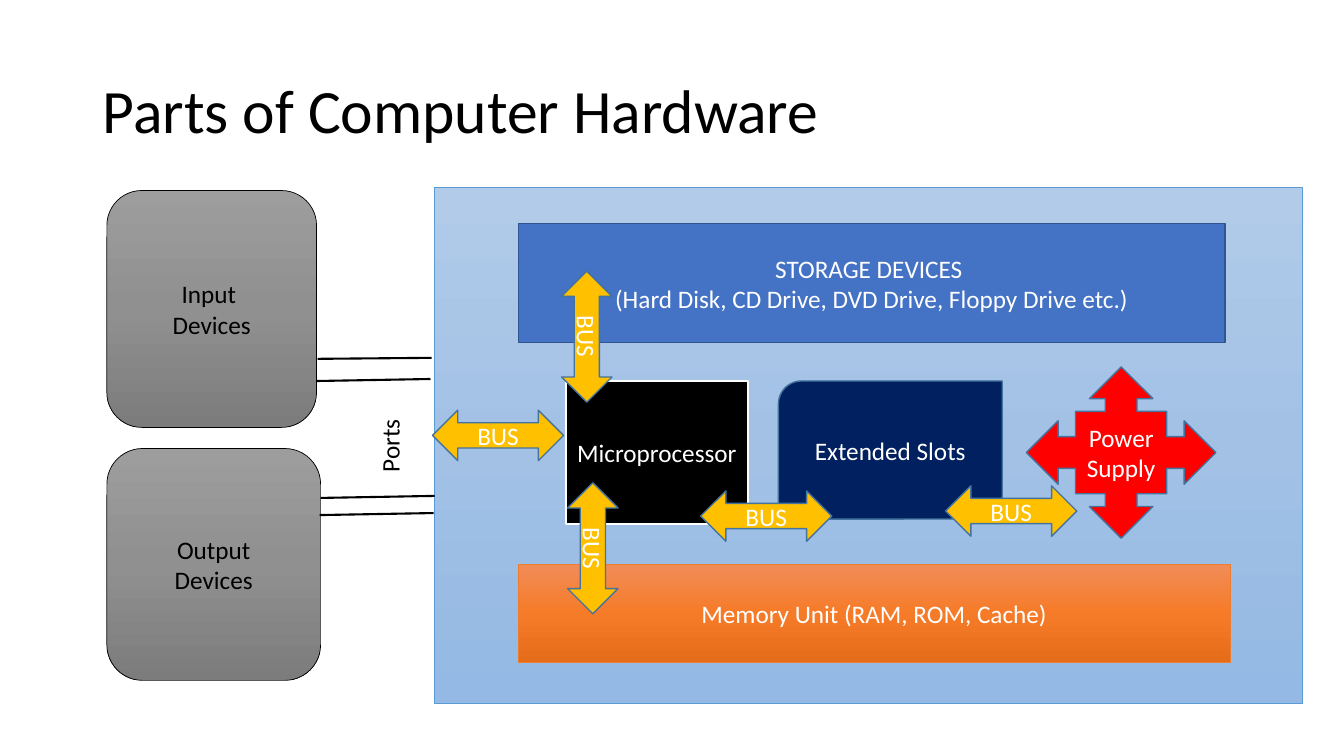
from copy import deepcopy

from lxml import etree
from pptx import Presentation
from pptx.dml.color import RGBColor
from pptx.enum.shapes import MSO_CONNECTOR, MSO_SHAPE as SHAPE
from pptx.enum.text import MSO_ANCHOR as ANCHOR, PP_ALIGN as ALIGN
from pptx.oxml.ns import qn
from pptx.util import Inches, Pt

COLORS = {
    "black": "000000", "white": "FFFFFF", "red": "FF0000",
    "navy": "002060", "gold": "FFC000", "blue": "4472C4",
    "blue_line": "325491", "steel_line": "43739E",
    "case_line": "5B9BD5", "memory_line": "ED7D31",
}
GRADIENTS = {
    "case": ("B1CBE9", "A3C1E5", "93B9E4"),
    "gray": ("9D9D9D", "909090", "7C7C7C"),
    "memory": ("F18C57", "F67B28", "E56C19"),
}


def rgb(name):
    return RGBColor.from_string(COLORS[name])


def write(sp, text, size=18, color="white", align=ALIGN.CENTER,
          anchor=ANCHOR.MIDDLE, wrap=True, spacing=None):
    """Fill a shape with text, one paragraph per line."""
    tf = sp.text_frame
    tf.word_wrap = wrap
    tf.vertical_anchor = anchor
    tf.text = text
    for p in tf.paragraphs:
        p.alignment = align
        p.line_spacing = spacing
        for r in p.runs:
            r.font.name = "Calibri"
            r.font.size = Pt(size)
            r.font.color.rgb = rgb(color)


prs = Presentation()
prs.slide_width, prs.slide_height = Inches(13.33), Inches(7.5)
s = prs.slides.add_slide(prs.slide_layouts[5])

title = s.shapes.title
title.left, title.top = Inches(0.92), Inches(0.4)
title.width, title.height = Inches(11.5), Inches(1.45)
write(title, "Parts of Computer Hardware", size=44, color="black",
      align=ALIGN.LEFT, spacing=0.9)

# Blocks: preset, box, fill, line colour, line width, text, text colour
blocks = [
    (SHAPE.RECTANGLE, (4.31, 1.86, 8.61, 5.12), "case", "case_line", 0.5,
     "", "white"),
    (SHAPE.ROUNDED_RECTANGLE, (1.06, 1.89, 2.08, 2.35), "gray", "black", 0.5,
     "Input \nDevices", "black"),
    (SHAPE.ROUNDED_RECTANGLE, (1.06, 4.45, 2.12, 2.3), "gray", "black", 0.5,
     "Output\nDevices", "black"),
    (SHAPE.RECTANGLE, (5.61, 3.78, 1.81, 1.42), "black", "white", 1.5,
     "Microprocessor", "white"),
    (SHAPE.RECTANGLE, (5.14, 5.6, 7.06, 0.97), "memory", "memory_line", 0.5,
     "Memory Unit (RAM, ROM, Cache)", "white"),
    (SHAPE.RECTANGLE, (5.14, 2.22, 7.01, 1.18), "blue", "blue_line", 1,
     "STORAGE DEVICES \n(Hard Disk, CD Drive, DVD Drive, Floppy Drive etc.)",
     "white"),
    (SHAPE.ROUND_2_DIAG_RECTANGLE, (7.72, 3.78, 2.22, 1.37), "navy",
     "steel_line", 1, "Extended Slots", "white"),
    (SHAPE.QUAD_ARROW_CALLOUT, (10.18, 3.64, 1.88, 1.7), "red",
     "steel_line", 1, "Power\nSupply", "white"),
]
for preset, box, fill, line, width, text, color in blocks:
    sp = s.shapes.add_shape(preset, *map(Inches, box))
    sp.shadow.inherit = False
    sp.line.color.rgb = rgb(line)
    sp.line.width = Pt(width)
    if fill in GRADIENTS:
        sp.fill.gradient()
        sp.fill.gradient_angle = 270
        first = sp._element.spPr.find(".//" + qn("a:gs"))
        first.addnext(deepcopy(first))
        for i, (stop, shade) in enumerate(zip(sp.fill.gradient_stops,
                                              GRADIENTS[fill])):
            stop.position = i / 2
            stop.color.rgb = RGBColor.from_string(shade)
    else:
        sp.fill.solid()
        sp.fill.fore_color.rgb = rgb(fill)
    if text:
        write(sp, text, color=color)

# Port cables between the devices and the case
for x1, y1, x2, y2 in [(3.15, 3.56, 4.28, 3.55), (3.14, 3.78, 4.27, 3.76),
                       (3.18, 4.94, 4.31, 4.92), (3.17, 5.11, 4.3, 5.09)]:
    cable = s.shapes.add_connector(MSO_CONNECTOR.STRAIGHT, Inches(x1),
                                   Inches(y1), Inches(x2), Inches(y2))
    cable.line.color.rgb = rgb("black")
    cable.line.width = Pt(1.5)
    etree.SubElement(cable._element.spPr, qn("a:effectLst"))

ports = s.shapes.add_textbox(Inches(3.5), Inches(4.22),
                             Inches(0.73), Inches(0.4))
ports.rotation = 270
write(ports, "Ports", color="black", align=ALIGN.LEFT, anchor=ANCHOR.TOP,
      wrap=False)

# Bus arrows: left, top, rotation
for left, top, rotation in [(4.29, 4.07, 0), (6.95, 4.87, 0), (9.38, 4.82, 0),
                            (5.23, 5.19, 90), (5.17, 3.09, 90)]:
    bus = s.shapes.add_shape(SHAPE.LEFT_RIGHT_ARROW, Inches(left), Inches(top),
                             Inches(1.3), Inches(0.5))
    bus.rotation = rotation
    bus.shadow.inherit = False
    bus.fill.solid()
    bus.fill.fore_color.rgb = rgb("gold")
    bus.line.color.rgb = rgb("steel_line")
    bus.line.width = Pt(1)
    write(bus, "BUS")

prs.save("out.pptx")
